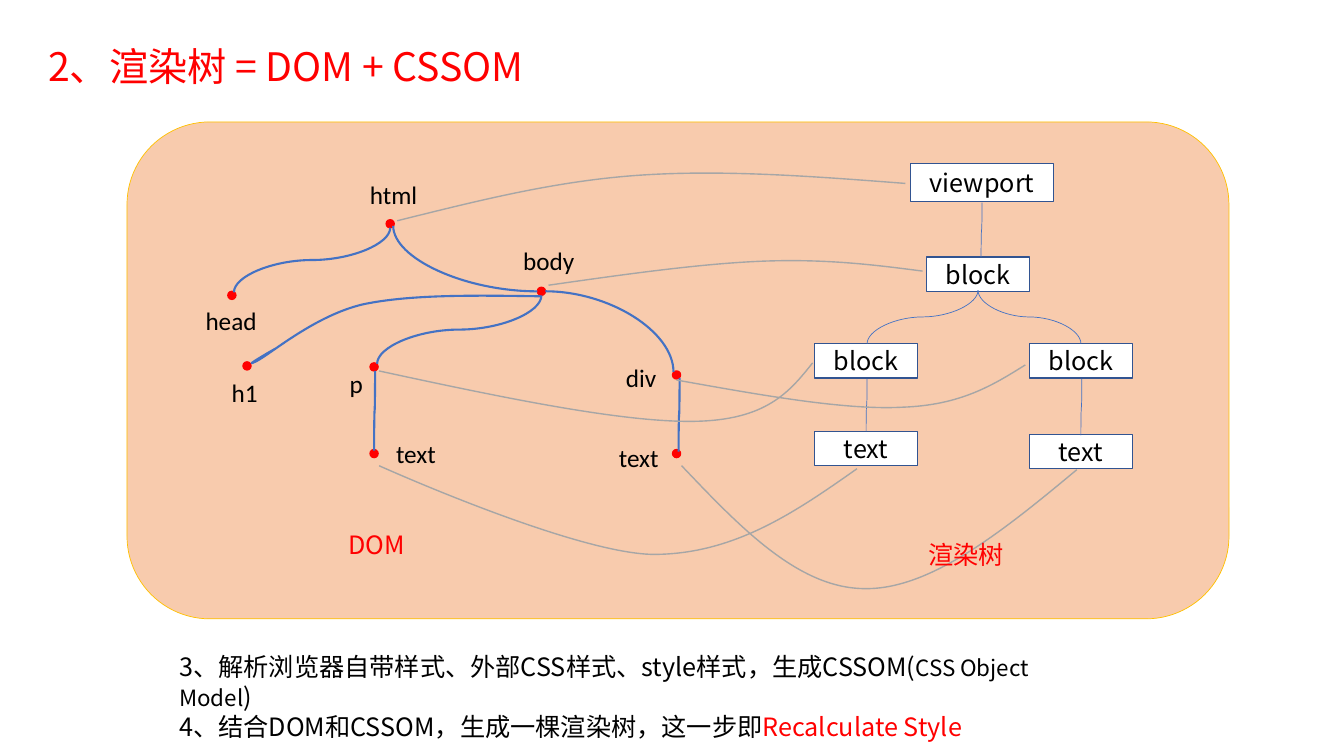
from lxml import etree
from pptx import Presentation
from pptx import util as u
from pptx.dml.color import RGBColor
from pptx.enum import shapes, text
from pptx.oxml.ns import qn

RED = RGBColor(0xFF, 0x00, 0x00)
BLACK = RGBColor(0x00, 0x00, 0x00)
WHITE = RGBColor(0xFF, 0xFF, 0xFF)
PEACH = RGBColor(0xF8, 0xCB, 0xAD)
GOLD = RGBColor(0xFF, 0xC0, 0x00)
BLUE = RGBColor(0x44, 0x72, 0xC4)
NAVY = RGBColor(0x32, 0x54, 0x91)
GREY = RGBColor(0xA6, 0xA6, 0xA6)
LATIN = "Calibri"
CJK = "Noto Sans CJK JP"
DOT = 0.08


class Sketch:
    """Draws styled elements on one slide; all lengths are in inches."""

    def __init__(self, slide):
        self.shapes = slide.shapes

    def font(self, r, size, color, name):
        r.font.size, r.font.name = u.Pt(size), name
        r.font.color.rgb = color
        ea = etree.SubElement(r.font._element, qn("a:ea"))
        ea.set("typeface", name)

    def shape(self, kind, x, y, w, h, fill, line, width):
        sp = self.shapes.add_shape(kind, *map(u.Inches, (x, y, w, h)))
        sp.shadow.inherit = False
        sp.fill.solid()
        sp.fill.fore_color.rgb = fill
        sp.line.color.rgb = line
        sp.line.width = u.Pt(width)
        return sp

    def dot(self, x, y):
        self.shape(shapes.MSO_SHAPE.OVAL, x - DOT / 2, y - DOT / 2, DOT, DOT, RED, RED, 1)

    def box(self, label, x, y, w=1.02, h=0.34):
        sp = self.shape(shapes.MSO_SHAPE.RECTANGLE, x, y, w, h, WHITE, NAVY, 1)
        tf = sp.text_frame
        tf.text = label
        tf.vertical_anchor = text.MSO_ANCHOR.MIDDLE
        p = tf.paragraphs[0]
        p.alignment = text.PP_ALIGN.CENTER
        self.font(p.runs[0], 18, BLACK, CJK)

    def text(self, paragraphs, x, y, w, h, name=CJK, wrap=False):
        """Each paragraph is a list of (words, size, color) runs."""
        tf = self.shapes.add_textbox(*map(u.Inches, (x, y, w, h))).text_frame
        tf.word_wrap = wrap
        for i, runs in enumerate(paragraphs):
            p = tf.add_paragraph() if i else tf.paragraphs[0]
            for words, size, color in runs:
                r = p.add_run()
                r.text = words
                self.font(r, size, color, name)
        return tf

    def connector(self, begin, end, width, bends=3, upright=True):
        """Curved connector; an upright one leaves its start vertically."""
        (x1, y1), (x2, y2) = begin, end
        w, h = abs(x2 - x1), abs(y2 - y1)
        if upright:
            w, h = h, w
        x, y = (x1 + x2 - w) / 2, (y1 + y2 - h) / 2
        c = self.shapes.add_connector(
            shapes.MSO_CONNECTOR.CURVE, *map(u.Inches, (x, y, x + w, y + h)))
        c.line.color.rgb = BLUE
        c.line.width = u.Pt(width)
        props = c._element.spPr
        props.find(qn("a:prstGeom")).set("prst", f"curvedConnector{bends}")
        if upright:
            xfrm = props.find(qn("a:xfrm"))
            xfrm.set("rot", str((270 if x2 > x1 else 90) * 60000))
            if x2 > x1:
                xfrm.set("flipH", "1")
        etree.SubElement(props, qn("a:effectLst"))

    def curve(self, points, color, width):
        """Bezier outline: a start, then two handles and an end per piece."""
        pts = [(u.Inches(x), u.Inches(y)) for x, y in points]
        builder = self.shapes.build_freeform(*pts[0])
        builder.add_line_segments(pts[1:], close=False)
        sp = builder.convert_to_shape()
        sp.shadow.inherit = False
        sp.fill.background()
        sp.line.color.rgb = color
        sp.line.width = u.Pt(width)
        route = next(sp._element.iter(qn("a:lnTo"))).getparent()
        steps = route.findall(qn("a:lnTo"))
        for i in range(0, len(steps), 3):
            bezier = etree.SubElement(route, qn("a:cubicBezTo"))
            for step in steps[i:i + 3]:
                bezier.append(step[0])
                route.remove(step)


def main():
    prs = Presentation()
    prs.slide_width, prs.slide_height = u.Inches(13.33), u.Inches(7.5)
    s = Sketch(prs.slides.add_slide(prs.slide_layouts[6]))

    # Panel and title
    s.shape(shapes.MSO_SHAPE.ROUNDED_RECTANGLE, 1.26, 1.21, 10.93, 4.93, PEACH, GOLD, 0.5)
    tf = s.text([[("2、渲染树 = DOM + CSSOM", 28, RED)]], 0.38, 0.22, 9, 0.92, wrap=True)
    tf.vertical_anchor = text.MSO_ANCHOR.MIDDLE
    tf.paragraphs[0].line_spacing = 0.9

    # DOM tree: nodes
    for x, y in [(3.87, 2.22), (2.3, 2.93), (5.37, 2.89), (3.71, 3.64), (3.71, 4.5),
                 (6.71, 3.72), (6.71, 4.5), (2.45, 3.63)]:
        s.dot(x, y)

    # DOM tree: branches
    for begin, end, bends, upright in [
            ((5.37, 2.93), (3.74, 3.61), 3, True),
            ((5.41, 2.89), (6.68, 3.69), 2, False),
            ((3.87, 2.26), (2.32, 2.9), 3, True),
            ((3.9, 2.24), (5.33, 2.89), 2, True),
            ((3.72, 3.68), (3.71, 4.47), 3, True),
            ((6.74, 3.75), (6.73, 4.48), 3, True)]:
        s.connector(begin, end, 1.5, bends, upright)
    s.curve([(5.36, 2.94), (4.71, 2.93), (4.07, 2.92), (3.6, 3.02), (3.13, 3.13),
             (2.7, 3.5), (2.55, 3.58), (2.41, 3.65), (2.57, 3.55), (2.73, 3.46)], BLUE, 1.5)

    # DOM tree: labels
    for label, x, y, w in [
            ("html", 3.57, 1.73, 0.68), ("head", 1.94, 2.98, 0.72), ("body", 5.09, 2.38, 0.72),
            ("h1", 2.2, 3.69, 0.46), ("text", 3.83, 4.3, 0.6), ("div", 6.11, 3.55, 0.51),
            ("text", 6.04, 4.34, 0.6), ("p", 3.37, 3.6, 0.34)]:
        s.text([[(label, 18, BLACK)]], x, y, w, 0.4, LATIN)

    # Render tree
    s.box("viewport", 9.03, 1.62, 1.42, 0.38)
    for label, x, y in [("block", 9.19, 2.55), ("block", 8.08, 3.41), ("block", 10.21, 3.41),
                        ("text", 8.08, 4.28), ("text", 10.21, 4.31)]:
        s.box(label, x, y)
    for begin, end in [((9.74, 2.01), (9.73, 2.55)), ((9.7, 2.88), (8.6, 3.41)),
                       ((9.7, 2.88), (10.72, 3.41)), ((8.6, 3.76), (8.59, 4.28)),
                       ((10.73, 3.76), (10.72, 4.32))]:
        s.connector(begin, end, 0.5)

    # Links from render tree to DOM
    for points in [
            [(8.98, 1.82), (8.07, 1.75), (7.16, 1.68), (6.32, 1.74),
             (5.48, 1.8), (4.71, 2), (3.94, 2.19)],
            [(8.06, 3.6), (7.83, 3.89), (7.6, 4.17), (6.88, 4.18),
             (6.16, 4.19), (4.96, 3.94), (3.76, 3.68)],
            [(10.17, 3.62), (9.85, 3.82), (9.53, 4.02), (8.95, 4.04),
             (8.38, 4.07), (7.55, 3.92), (6.71, 3.77)],
            [(9.15, 2.69), (8.69, 2.63), (8.22, 2.57), (7.61, 2.59),
             (6.99, 2.61), (6.21, 2.72), (5.44, 2.83)],
            [(8.5, 4.65), (7.89, 5.08), (7.28, 5.5), (6.48, 5.5),
             (5.69, 5.49), (3.76, 4.62), (3.76, 4.62)],
            [(10.68, 4.66), (9.96, 5.26), (9.23, 5.85), (8.58, 5.84),
             (7.92, 5.84), (7.34, 5.23), (6.76, 4.62)]]:
        s.curve(points, GREY, 1)

    # Tree names and notes below
    s.text([[("DOM", 18, RED)]], 3.36, 5.2, 0.84, 0.4)
    s.text([[("渲染树", 18, RED)]], 9.11, 5.3, 0.96, 0.4)
    s.text([[("3、解析浏览器自带样式、外部CSS样式、style样式，生成CSSOM(", 18, BLACK),
             ("CSS Object Model", 16, BLACK), (")", 18, BLACK)],
            [("4、结合DOM和CSSOM，生成一棵渲染树，这一步即", 18, BLACK),
             ("Recalculate Style", 18, RED)]], 1.68, 6.41, 9.28, 0.71, wrap=True)

    prs.save("out.pptx")


if __name__ == "__main__":
    main()
